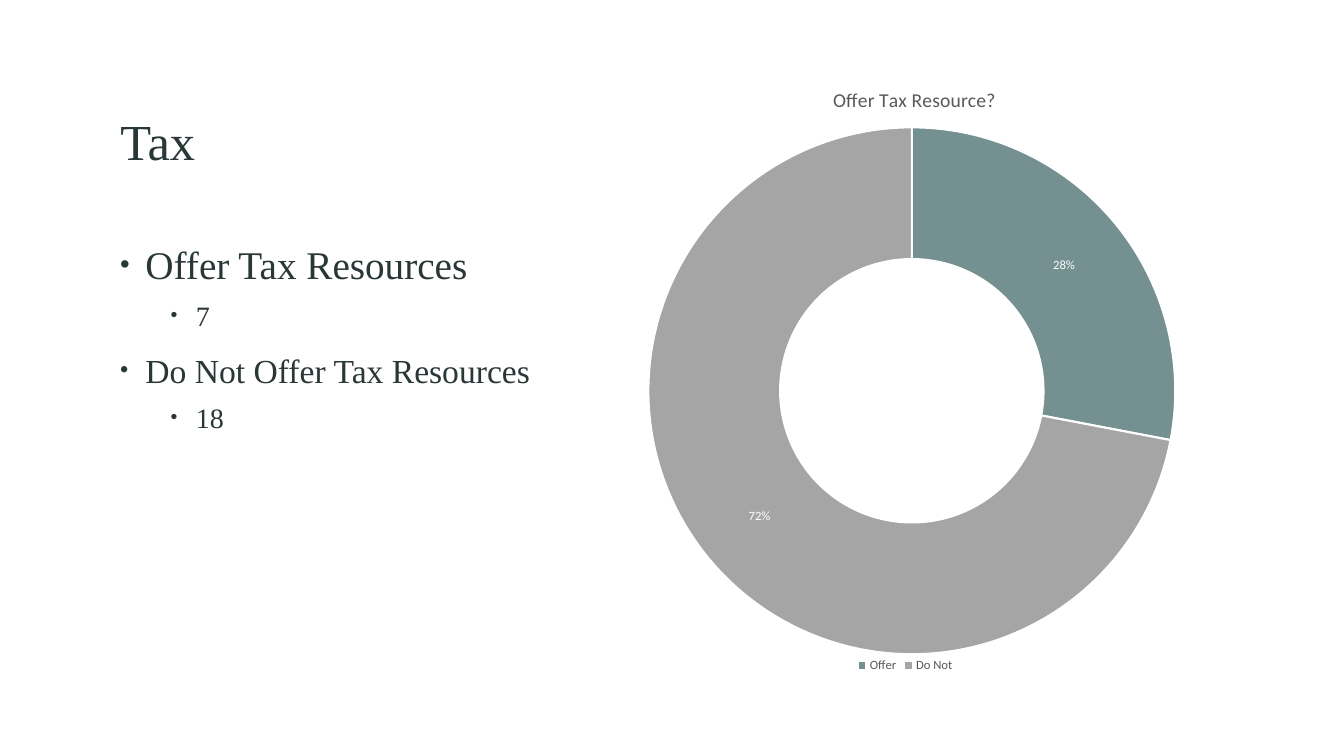
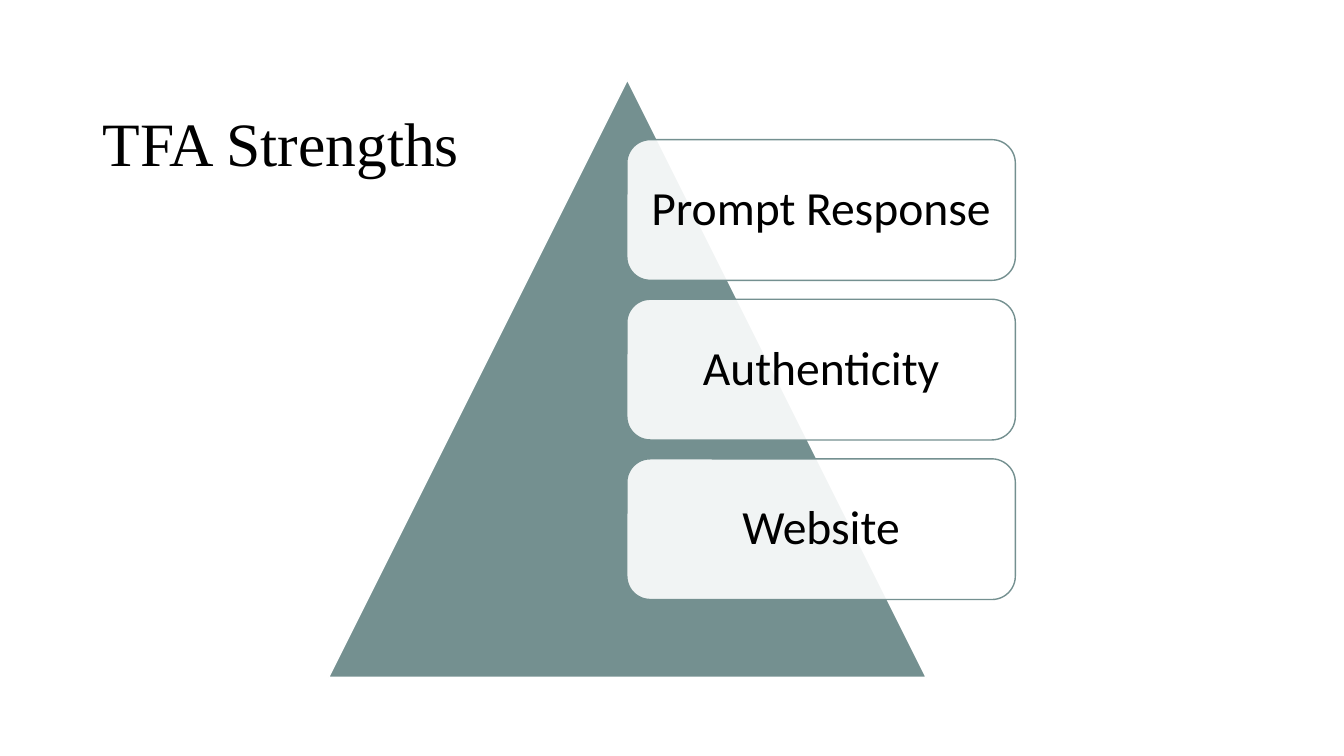
from dataclasses import dataclass

from lxml.etree import SubElement
from pptx import Presentation
from pptx.chart.data import CategoryChartData
from pptx.dml.color import RGBColor
from pptx.enum.chart import XL_CHART_TYPE as ChartType, XL_LEGEND_POSITION as LegendPosition
from pptx.enum.shapes import MSO_SHAPE as Preset
from pptx.enum.text import MSO_ANCHOR as Anchor, MSO_AUTO_SIZE as AutoSize, PP_ALIGN as Align
from pptx.oxml.ns import qn
from pptx.util import Emu, Pt

PX = 9525


@dataclass(frozen=True)
class Theme:
    ink: str = "293737"
    black: str = "000000"
    white: str = "FFFFFF"
    teal: str = "749090"
    gray: str = "A5A5A5"
    caption: str = "595959"
    serif: str = "Times New Roman"
    sans: str = "Calibri"
    title: int = 36
    large_title: int = 44
    card: int = 34
    lead: int = 28
    point: int = 24
    detail: int = 20
    chart_title: int = 14
    chart_label: int = 9


@dataclass(frozen=True)
class Box:
    left: int
    top: int
    width: int
    height: int

    def emu(self):
        return [Emu(side * PX) for side in (self.left, self.top, self.width, self.height)]


THEME = Theme()


def style_font(font, size, color, face):
    font.size = Pt(size)
    font.name = face
    font.color.rgb = RGBColor.from_string(color)


def add_span(para, text, size, color, face):
    span = para.add_run()
    span.text = text
    style_font(span.font, size, color, face)


def paint(target, fill, line, width):
    target.fill.solid()
    target.fill.fore_color.rgb = RGBColor.from_string(fill)
    target.line.color.rgb = RGBColor.from_string(line)
    target.line.width = Pt(width)


def add_page(deck, box, title, size, color, anchor):
    page = deck.slides.add_slide(deck.slide_layouts[5])
    holder = page.shapes.title
    holder.left, holder.top, holder.width, holder.height = box.emu()
    frame = holder.text_frame
    frame.word_wrap = True
    frame.auto_size = AutoSize.NONE
    frame.vertical_anchor = anchor
    para = frame.paragraphs[0]
    para.alignment = Align.LEFT
    para.line_spacing = 0.9
    add_span(para, title, size, color, THEME.serif)
    return page


def set_bullet(para, margin, hang):
    properties = para._p.get_or_add_pPr()
    properties.set("marL", str(margin * PX))
    properties.set("indent", str(-hang * PX))
    SubElement(properties, qn("a:buSzPct"), val="70000")
    SubElement(properties, qn("a:buFont"), typeface="Arial")
    SubElement(properties, qn("a:buChar"), char="•")


def add_bullets(page, box, items):
    frame = page.shapes.add_textbox(*box.emu()).text_frame
    frame.word_wrap = True
    for index, (level, text, size) in enumerate(items):
        para = frame.add_paragraph() if index else frame.paragraphs[0]
        para.level = level
        set_bullet(para, 24 + 48 * level, 24)
        para.line_spacing = 1.1
        if index:
            para.space_before = Pt(5 if level else 10)
        add_span(para, text, size, THEME.ink, THEME.serif)


def set_layout(host, index, **fractions):
    for previous in host.findall(qn("c:layout")):
        host.remove(previous)
    layout = SubElement(host, qn("c:layout"))
    host.insert(index, layout)
    manual = SubElement(layout, qn("c:manualLayout"))
    if "w" in fractions:
        SubElement(manual, qn("c:layoutTarget"), val="inner")
    for axis in "xy":
        SubElement(manual, qn(f"c:{axis}Mode"), val="edge")
    for name, fraction in fractions.items():
        SubElement(manual, qn(f"c:{name}"), val=str(fraction))


def add_doughnut(page, box, title, values, colors):
    data = CategoryChartData()
    data.categories = list(values)
    data.add_series("Series 1", list(values.values()))
    chart = page.shapes.add_chart(ChartType.DOUGHNUT, *box.emu(), data).chart
    style_font(chart.font, 10, THEME.black, THEME.sans)
    chart.has_title = True
    add_span(chart.chart_title.text_frame.paragraphs[0], title,
             THEME.chart_title, THEME.caption, THEME.sans)
    chart.chart_title.text_frame.paragraphs[0].runs[0].font.bold = False
    chart.has_legend = True
    chart.legend.position = LegendPosition.BOTTOM
    chart.legend.include_in_layout = False
    style_font(chart.legend.font, THEME.chart_label, THEME.caption, THEME.sans)
    chart.plots[0].vary_by_categories = True
    series = chart.plots[0].series[0]
    for index, color in enumerate(colors):
        paint(series.points[index].format, color, THEME.white, 1.5)
    labels = series.data_labels
    labels.show_percentage = True
    labels.show_value = False
    labels.number_format = "0%"
    labels.number_format_is_linked = False
    style_font(labels.font, THEME.chart_label, THEME.white, THEME.sans)
    root = chart._chartSpace.find(qn("c:chart"))
    set_layout(root.find(qn("c:title")), 1, x=0.4, y=0.04)
    set_layout(root.find(qn("c:legend")), 1, x=0.43, y=0.93)
    set_layout(root.find(qn("c:plotArea")), 0, x=0.18, y=0.11, w=0.64, h=0.82)


def add_card(page, box, text):
    card = page.shapes.add_shape(Preset.ROUNDED_RECTANGLE, *box.emu())
    card.shadow.inherit = False
    paint(card, THEME.white, THEME.teal, 1)
    color = card._element.spPr.find(qn("a:solidFill"))[0]
    SubElement(color, qn("a:alpha"), val="90000")
    frame = card.text_frame
    frame.word_wrap = True
    frame.vertical_anchor = Anchor.MIDDLE
    frame.margin_left = frame.margin_right = Emu(14 * PX)
    para = frame.paragraphs[0]
    para.alignment = Align.CENTER
    para.line_spacing = 0.9
    add_span(para, text, THEME.card, THEME.black, THEME.sans)


def add_pyramid(page, box, strengths):
    triangle = page.shapes.add_shape(Preset.ISOSCELES_TRIANGLE, *box.emu())
    triangle.shadow.inherit = False
    paint(triangle, THEME.teal, THEME.white, 1)
    card_height, gap = 134, 18
    for index, strength in enumerate(strengths):
        top = box.top + 57 + index * (card_height + gap)
        add_card(page, Box(box.left + box.width // 2, top, 370, card_height), strength)


def build_tax(deck):
    page = add_page(deck, Box(105, 89, 394, 79), "Tax", THEME.title, THEME.ink, Anchor.BOTTOM)
    add_doughnut(page, Box(476, 54, 785, 612), "Offer Tax Resource?",
                 {"Offer": 28, "Do Not": 72}, (THEME.teal, THEME.gray))
    add_bullets(page, Box(105, 220, 535, 335), (
        (0, "Offer Tax Resources", THEME.lead),
        (1, "7", THEME.detail),
        (0, "Do Not Offer Tax Resources", THEME.point),
        (1, "18", THEME.detail),
    ))


def build_strengths(deck):
    page = add_page(deck, Box(88, 74, 361, 132), "TFA Strengths",
                    THEME.large_title, THEME.black, Anchor.MIDDLE)
    add_pyramid(page, Box(313, 76, 569, 569), ("Prompt Response", "Authenticity", "Website"))


def main():
    deck = Presentation()
    deck.slide_width = Emu(1280 * PX)
    deck.slide_height = Emu(720 * PX)
    build_tax(deck)
    build_strengths(deck)
    deck.save("out.pptx")


if __name__ == "__main__":
    main()
